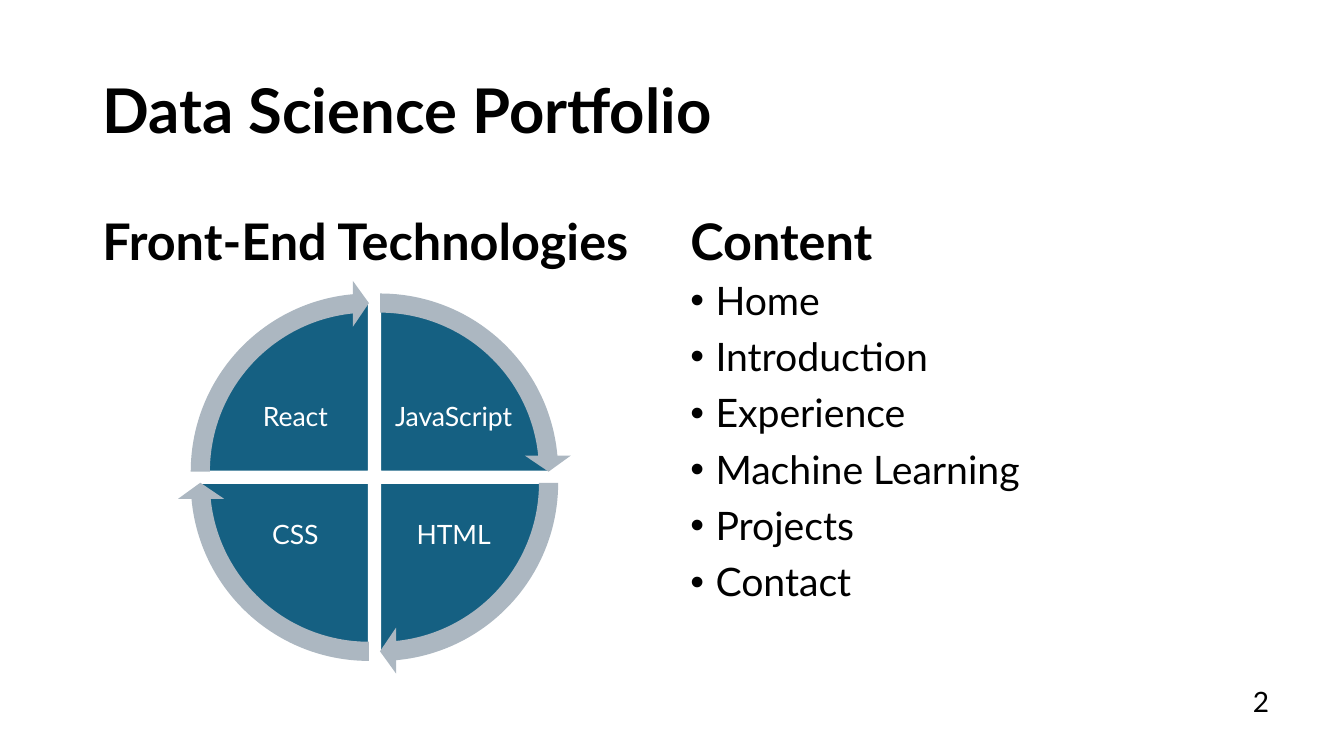
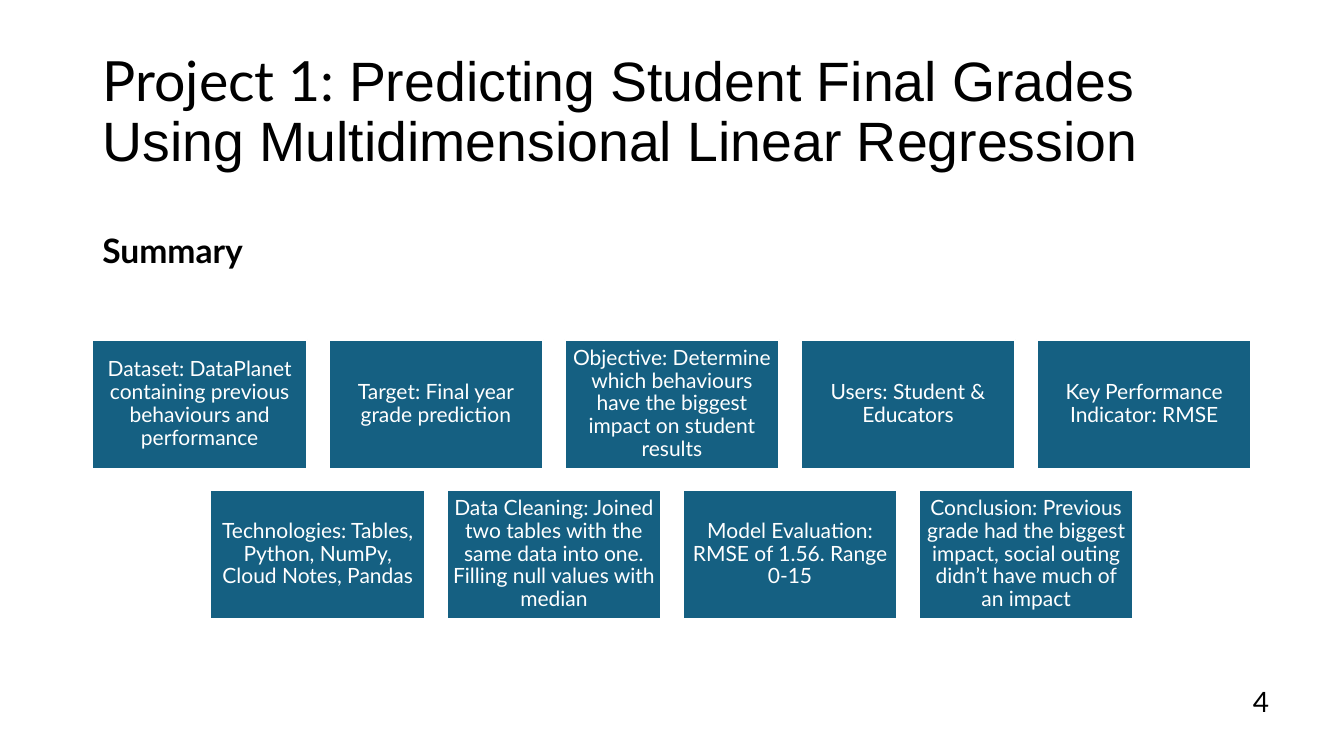
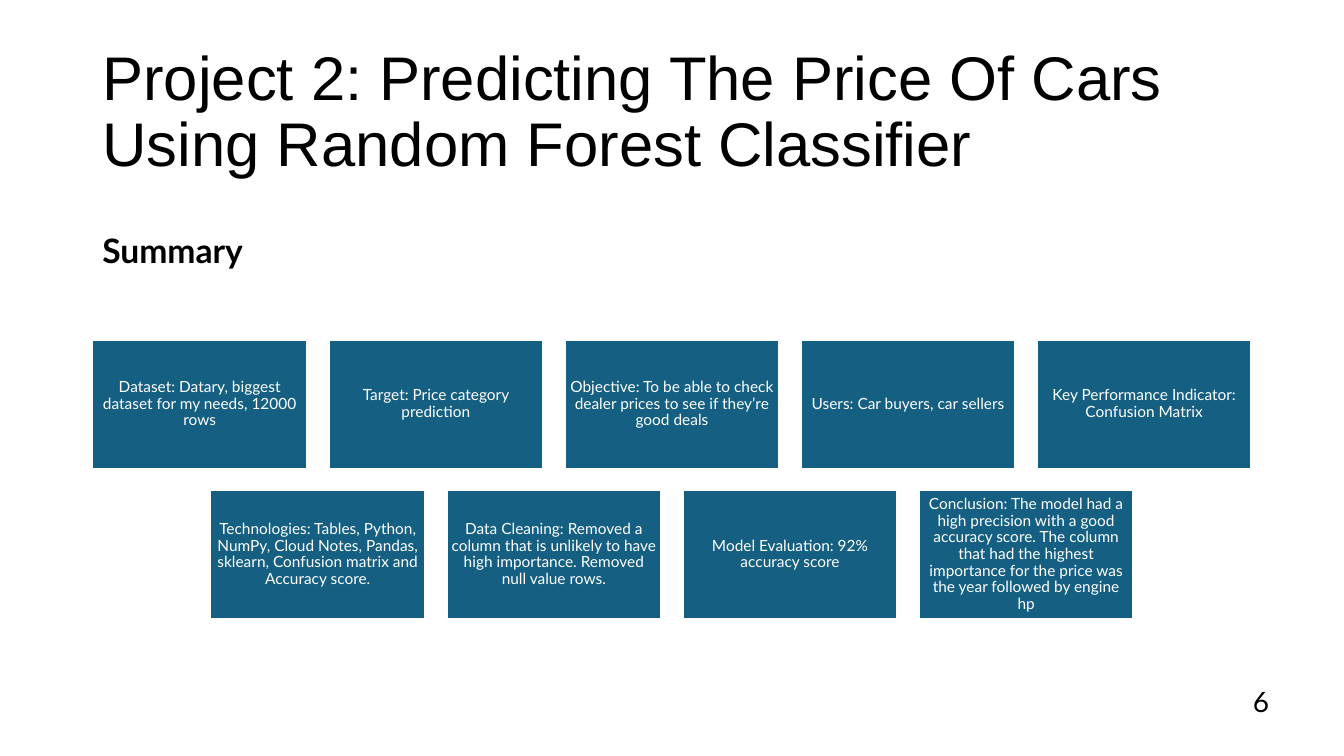
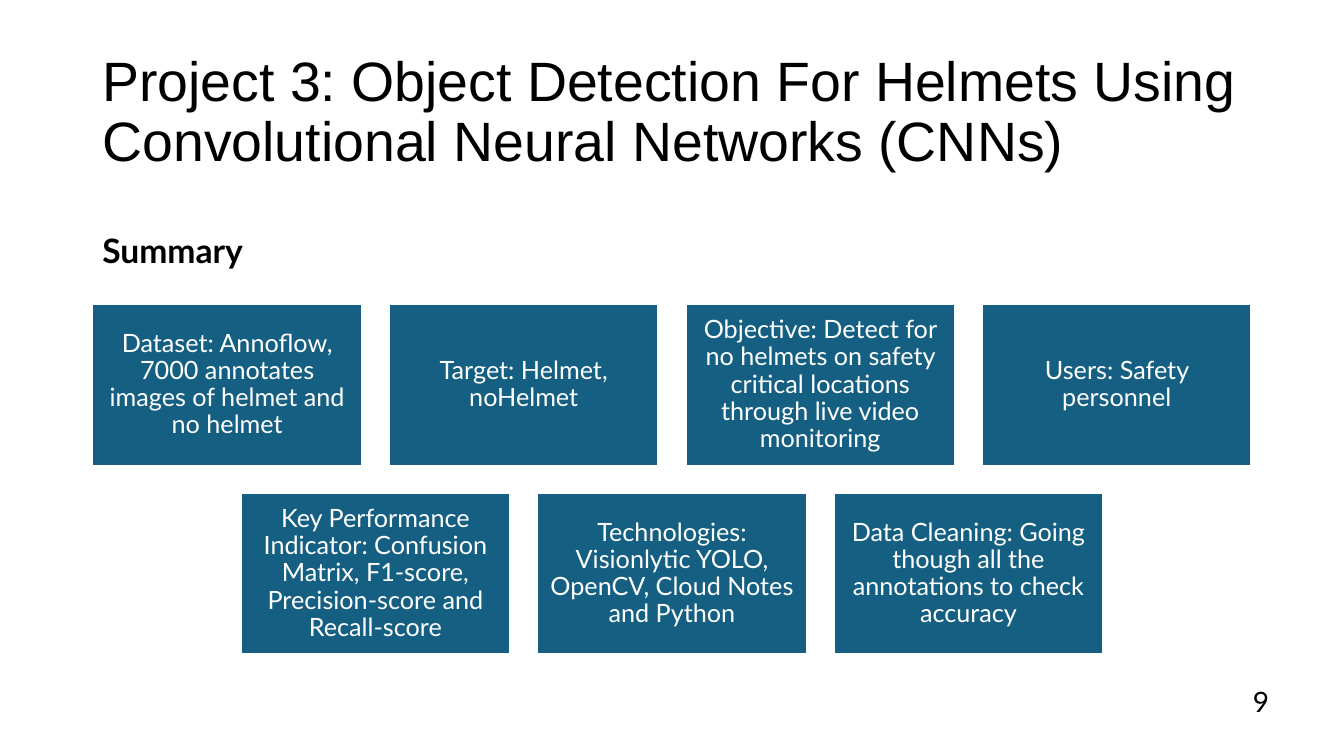
from lxml import etree
from pptx import Presentation
from pptx import util as u
from pptx.dml.color import RGBColor
from pptx.enum import shapes, text
from pptx.oxml.ns import qn

COLORS = {"text": "000000", "light": "FFFFFF", "teal": "156082", "arrow": "ACB7C1"}
FONT = "Lato"
LEFT, CONTENT_WIDTH = 66, 828
CARDS_MIDDLE = 342.4

SLIDES = [
    {
        "number": "2",
        "title": [("Data Science Portfolio", FONT)],
        "title_size": 44,
        "title_bold": True,
        "headings": [("Front-End Technologies", LEFT, 406), ("Content", 486, 408)],
        "heading_size": 36,
    },
    {
        "number": "4",
        "title": [
            ("Project 1: ", FONT),
            ("Predicting Student Final Grades Using Multidimensional Linear Regression", "Arial"),
        ],
        "title_size": 39.6,
        "card_size": 15,
        "inset": 4.3,
        "rows": [
            [
                "Dataset: DataPlanet containing previous behaviours and performance",
                "Target: Final year grade prediction",
                "Objective: Determine which behaviours have the biggest impact on student results",
                "Users: Student & Educators",
                "Key Performance Indicator: RMSE",
            ],
            [
                "Technologies: Tables, Python, NumPy, Cloud Notes, Pandas",
                "Data Cleaning: Joined two tables with the same data into one. "
                "Filling null values with median",
                "Model Evaluation: RMSE of 1.56. Range 0-15",
                "Conclusion: Previous grade had the biggest impact, social outing "
                "didn’t have much of an impact",
            ],
        ],
    },
    {
        "number": "6",
        "title": [("Project 2: Predicting The Price Of Cars Using Random Forest Classifier", "Arial")],
        "title_size": 44,
        "card_size": 11,
        "inset": 3.3,
        "rows": [
            [
                "Dataset: Datary, biggest dataset for my needs, 12000 rows",
                "Target: Price category prediction",
                "Objective: To be able to check dealer prices to see if they’re good deals",
                "Users: Car buyers, car sellers",
                "Key Performance Indicator: Confusion Matrix",
            ],
            [
                "Technologies: Tables, Python, NumPy, Cloud Notes, Pandas, sklearn, "
                "Confusion matrix and Accuracy score.",
                "Data Cleaning: Removed a column that is unlikely to have high importance. "
                "Removed null value rows.",
                "Model Evaluation: 92% accuracy score",
                "Conclusion: The model had a high precision with a good accuracy score. "
                "The column that had the highest importance for the price was the year "
                "followed by engine hp",
            ],
        ],
    },
    {
        "number": "9",
        "title": [
            ("Project 3: Object Detection For Helmets Using Convolutional Neural Networks (CNNs)", "Arial")
        ],
        "title_size": 39.6,
        "card_size": 18,
        "inset": 5,
        "rows": [
            [
                "Dataset: Annoflow, 7000 annotates images of helmet and no helmet",
                "Target: Helmet, noHelmet",
                "Objective: Detect for no helmets on safety critical locations "
                "through live video monitoring",
                "Users: Safety personnel",
            ],
            [
                "Key Performance Indicator: Confusion Matrix, F1-score, "
                "Precision-score and Recall-score",
                "Technologies: Visionlytic YOLO, OpenCV, Cloud Notes and Python",
                "Data Cleaning: Going though all the annotations to check accuracy",
            ],
        ],
    },
]

QUADRANTS = [("JavaScript", 1, -1, 162), ("HTML", 1, 1, 0), ("CSS", -1, 1, 54), ("React", -1, -1, 108)]
TOPICS = ["Home", "Introduction", "Experience", "Machine Learning", "Projects", "Contact"]


def add_filled(slide, kind, box, fill, outlined=True):
    shape = slide.shapes.add_shape(kind, *[u.Pt(value) for value in box])
    shape.shadow.inherit = False
    shape.fill.solid()
    shape.fill.fore_color.rgb = RGBColor.from_string(COLORS[fill])
    if outlined:
        shape.line.color.rgb = RGBColor.from_string(COLORS["light"])
        shape.line.width = u.Pt(1.5)
    else:
        shape.line.fill.background()
    return shape


def write(shape, lines, size, color="text", bold=False, align="LEFT", anchor="MIDDLE",
          spacing=0.9, before=0, inset=None):
    frame = shape.text_frame
    frame.word_wrap = True
    frame.auto_size = text.MSO_AUTO_SIZE.NONE
    frame.vertical_anchor = text.MSO_ANCHOR[anchor]
    if inset is not None:
        frame.margin_left = frame.margin_right = u.Pt(inset)
        frame.margin_top = frame.margin_bottom = u.Pt(inset)
    frame.text = "\n".join(lines)
    for paragraph in frame.paragraphs:
        paragraph.alignment = text.PP_ALIGN[align]
        paragraph.line_spacing = spacing
        paragraph.space_before = u.Pt(before)
        paragraph.font.name = FONT
        paragraph.font.size = u.Pt(size)
        paragraph.font.bold = bold
        paragraph.font.color.rgb = RGBColor.from_string(COLORS[color])
    return frame


presentation = Presentation()
presentation.slide_width = u.Pt(960)
presentation.slide_height = u.Pt(540)

for content in SLIDES:
    slide = presentation.slides.add_slide(presentation.slide_layouts[5])

    title = slide.shapes.title
    title.left, title.top = u.Pt(LEFT), u.Pt(28.8)
    title.width, title.height = u.Pt(CONTENT_WIDTH), u.Pt(104.4)
    frame = write(title, [""], content["title_size"], bold=content.get("title_bold", False))
    for words, font in content["title"]:
        run = frame.paragraphs[0].add_run()
        run.text = words
        run.font.name = font

    for words, left, width in content.get("headings", [("Summary", LEFT, CONTENT_WIDTH)]):
        heading = slide.shapes.add_textbox(u.Pt(left), u.Pt(132.5), u.Pt(width), u.Pt(64.8))
        write(heading, [words], content.get("heading_size", 24), bold=True, anchor="BOTTOM", before=10)

    number = slide.shapes.add_textbox(u.Pt(697.7), u.Pt(486.7), u.Pt(216), u.Pt(28.8))
    write(number, [content["number"]], 20, align="RIGHT", spacing=1)

    rows = content.get("rows", [])
    for row_index, row in enumerate(rows):
        columns = len(rows[0])
        card_width = CONTENT_WIDTH / (columns + 0.1 * (columns - 1))
        card_height, gap = 0.6 * card_width, 0.1 * card_width
        row_width = len(row) * (card_width + gap) - gap
        row_left = LEFT + (CONTENT_WIDTH - row_width) / 2
        top = CARDS_MIDDLE - card_height - gap / 2 + row_index * (card_height + gap)
        for column, words in enumerate(row):
            left = row_left + column * (card_width + gap)
            card = add_filled(slide, shapes.MSO_SHAPE.RECTANGLE, (left, top, card_width, card_height), "teal")
            write(card, [words], content["card_size"], "light", align="CENTER", inset=content["inset"])

slide = presentation.slides[0]
center_x, center_y, offset = 267.5, 340.9, 4
pie_radius, arrow_radius = 121.7, 136.8

for words, side_x, side_y, start in QUADRANTS:
    x, y = center_x + side_x * offset, center_y + side_y * offset
    box = (x - pie_radius, y - pie_radius, 2 * pie_radius, 2 * pie_radius)
    pie = add_filled(slide, shapes.MSO_SHAPE.PIE, box, "teal")
    pie.adjustments[0] = start
    pie.adjustments[1] = (start + 54) % 216
    label = slide.shapes.add_textbox(
        u.Pt(center_x + side_x * 56.5 - 45), u.Pt(center_y + side_y * 42.1 - 33.5), u.Pt(90), u.Pt(67)
    )
    write(label, [words], 19, "light", align="CENTER", inset=2.4)

for words, side_x, side_y, start in QUADRANTS:
    x, y = center_x + side_x * offset, center_y + side_y * offset
    box = (x - arrow_radius, y - arrow_radius, 2 * arrow_radius, 2 * arrow_radius)
    arrow = add_filled(slide, shapes.MSO_SHAPE.CIRCULAR_ARROW, box, "arrow", outlined=False)
    for index, value in enumerate((0.05, 3.28, start + 50.73, start, 0.06)):
        arrow.adjustments[index] = value

topics = slide.shapes.add_textbox(u.Pt(486), u.Pt(197.3), u.Pt(408), u.Pt(290))
frame = write(topics, TOPICS, 28, anchor="TOP", before=10)
for paragraph in frame.paragraphs:
    properties = paragraph._p.get_or_add_pPr()
    properties.set("marL", str(u.Pt(18)))
    properties.set("indent", str(-u.Pt(18)))
    bullet_font = etree.Element(qn("a:buFont"), typeface="Arial")
    bullet = etree.Element(qn("a:buChar"), char="•")
    properties.find(qn("a:defRPr")).addprevious(bullet_font)
    bullet_font.addnext(bullet)

presentation.save("out.pptx")
